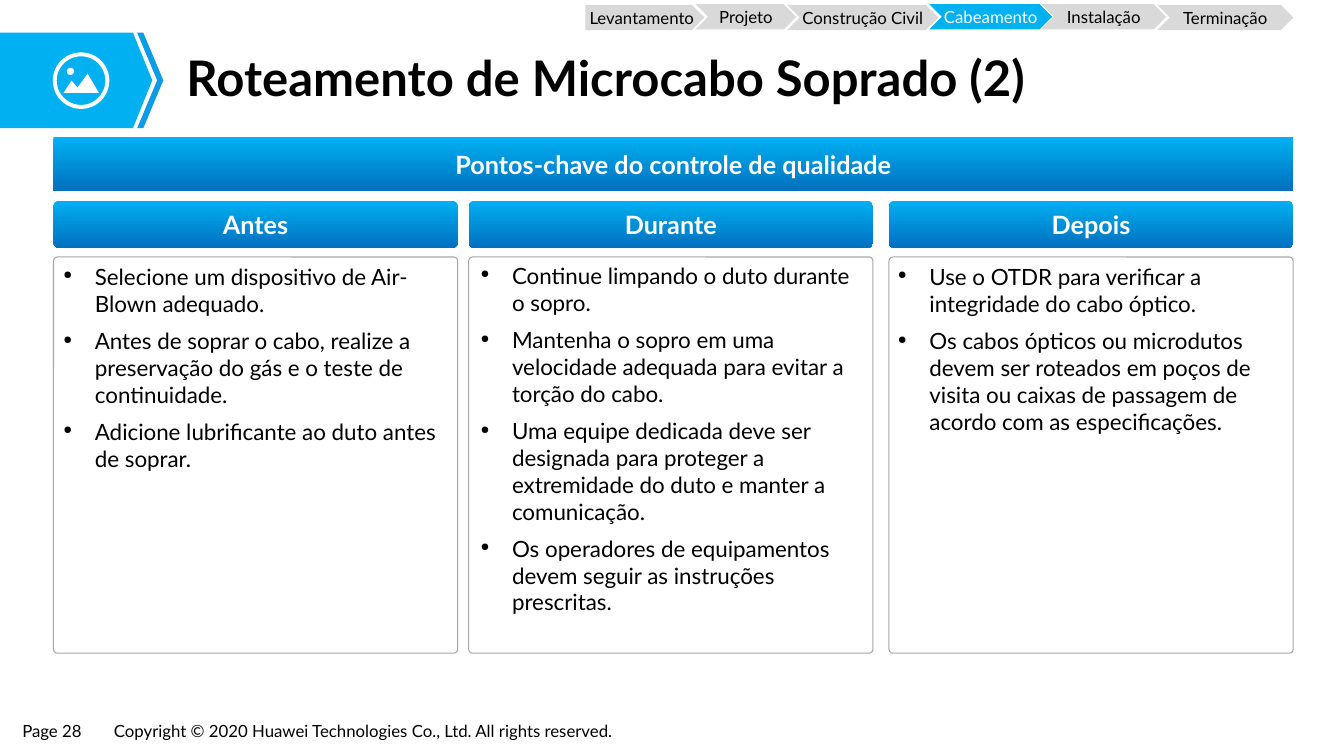
from dataclasses import dataclass

import pptx
import pptx.dml.color
import pptx.enum.shapes
import pptx.enum.text
import pptx.oxml
import pptx.oxml.ns
import pptx.util

Pt = pptx.util.Pt
RGB = pptx.dml.color.RGBColor
Kind = pptx.enum.shapes.MSO_SHAPE
Align = pptx.enum.text.PP_ALIGN
Anchor = pptx.enum.text.MSO_ANCHOR
Fit = pptx.enum.text.MSO_AUTO_SIZE

BLACK = RGB(0x00, 0x00, 0x00)
WHITE = RGB(0xFF, 0xFF, 0xFF)
SKY = RGB(0x00, 0xB0, 0xF0)
BLUE = RGB(0x00, 0x70, 0xC0)
TRIM = RGB(0x0B, 0x9C, 0xE5)
GRAY = RGB(0xD9, 0xD9, 0xD9)
EDGE = RGB(0xA6, 0xA6, 0xA6)
FONT = "Lato"
INDENT = Pt(22.5)
LEFT = 38.2


@dataclass
class Step:
    name: str
    left: float
    top: float
    width: float
    kind: Kind = Kind.CHEVRON
    active: bool = False


@dataclass
class Column:
    head: str
    left: float
    text: tuple[float, float, float, float]
    points: list[str]


STEPS = [
    Step("Levantamento", 418.2, 3.5, 85, Kind.PENTAGON),
    Step("Projeto", 496.8, 3, 72),
    Step("Construção Civil", 562.3, 3.5, 108),
    Step("Cabeamento", 663.8, 3, 87.8, active=True),
    Step("Instalação", 743.8, 3, 89.3),
    Step("Terminação", 826.6, 3.5, 97.2),
]

COLUMNS = [
    Column("Antes", LEFT, (38.2, 184.3, 285.8, 211.7), [
        "Selecione um dispositivo de Air-Blown adequado.",
        "Antes de soprar o cabo, realize a preservação do gás e o teste de continuidade.",
        "Adicione lubrificante ao duto antes de soprar.",
    ]),
    Column("Durante", 334.8, (336.2, 183.6, 285.8, 246.2), [
        "Continue limpando o duto durante o sopro.",
        "Mantenha o sopro em uma velocidade adequada para evitar a torção do cabo.",
        "Uma equipe dedicada deve ser designada para proteger a extremidade do duto "
        "e manter a comunicação.",
        "Os operadores de equipamentos devem seguir as instruções prescritas.",
    ]),
    Column("Depois", 635, (634.3, 184.3, 289.4, 235.4), [
        "Use o OTDR para verificar a integridade do cabo óptico.",
        "Os cabos ópticos ou microdutos devem ser roteados em poços de visita ou "
        "caixas de passagem de acordo com as especificações.",
    ]),
]


def mark(para) -> None:
    """Give a paragraph a hanging half-size bullet."""
    props = para._p.get_or_add_pPr()
    props.set("marL", str(INDENT))
    props.set("indent", str(-INDENT))
    for tag, key, value in (("a:buSzPct", "val", "50000"), ("a:buChar", "char", "●")):
        item = pptx.oxml.parse_xml(f"<{tag} {pptx.oxml.ns.nsdecls('a')}/>")
        item.set(key, value)
        props.append(item)


def write(shape, *lines: str, size: float, color: RGB = BLACK, bold: bool = False,
          align: Align = Align.LEFT, anchor: Anchor = Anchor.MIDDLE,
          pad: tuple[float, float] = (7.2, 3.6), wrap: bool = True,
          fit: Fit = Fit.NONE, bullet: bool = False, gap: float = 0,
          pitch: float | None = None) -> None:
    frame = shape.text_frame
    frame.word_wrap = wrap
    frame.auto_size = fit
    frame.vertical_anchor = anchor
    frame.margin_left = frame.margin_right = Pt(pad[0])
    frame.margin_top = frame.margin_bottom = Pt(pad[1])
    for rank, line in enumerate(lines):
        para = frame.add_paragraph() if rank else frame.paragraphs[0]
        para.alignment = align
        if bullet:
            mark(para)
        if rank:
            para.space_before = Pt(gap)
        if pitch:
            para.line_spacing = pitch
        run = para.add_run()
        run.text = line
        run.font.name = FONT
        run.font.size = Pt(size)
        run.font.bold = bold
        run.font.color.rgb = color


def paint(shape, color: RGB | None) -> None:
    """Set a plain fill, or none, and drop line and shadow."""
    shape.shadow.inherit = False
    shape.line.fill.background()
    if color is None:
        shape.fill.background()
    else:
        shape.fill.solid()
        shape.fill.fore_color.rgb = color


def block(slide, kind: Kind, left: float, top: float, width: float, height: float,
          color: RGB | None, adjust: float | None = None):
    shape = slide.shapes.add_shape(kind, Pt(left), Pt(top), Pt(width), Pt(height))
    paint(shape, color)
    if adjust is not None:
        shape.adjustments[0] = adjust
    return shape


def outline(slide, color: RGB, *dots: tuple[float, float]) -> None:
    first, *rest = [(Pt(x), Pt(y)) for x, y in dots]
    path = slide.shapes.build_freeform(*first)
    path.add_line_segments(rest, close=True)
    paint(path.convert_to_shape(), color)


def banner(slide, kind: Kind, text: str, left: float, top: float, width: float,
           height: float, adjust: float | None = None) -> None:
    """Draw a heading bar with a top-down gradient."""
    shape = block(slide, kind, left, top, width, height, SKY, adjust)
    shape.fill.gradient()
    shape.fill.gradient_angle = 270
    for stop, color in zip(shape.fill.gradient_stops, (SKY, BLUE)):
        stop.color.rgb = color
    write(shape, text, size=18, color=WHITE, bold=True, align=Align.CENTER)


def label(slide, left: float, top: float, width: float, height: float,
          *lines: str, **form) -> None:
    box = slide.shapes.add_textbox(Pt(left), Pt(top), Pt(width), Pt(height))
    write(box, *lines, anchor=Anchor.TOP, **form)


def badge(slide) -> None:
    """Draw the arrow tag and its round landscape icon."""
    outline(slide, SKY, (95, 91.6), (0, 91.6), (0, 23.4), (95, 23.4), (108.8, 57.4))
    outline(slide, TRIM, (102.4, 23.4), (98, 23.4), (112.3, 57.4), (98, 91.6),
            (102.4, 91.6), (116.7, 57.4))
    block(slide, Kind.DONUT, 37.7, 37.4, 40.4, 40.4, WHITE, 0.07)
    outline(slide, WHITE, (45.4, 66.3), (51.1, 57.6), (55.4, 62.6), (62.6, 52.6),
            (70.6, 66.3))
    block(slide, Kind.OVAL, 47.7, 48.4, 5.2, 5.2, WHITE)


def main() -> None:
    deck = pptx.Presentation()
    deck.slide_width, deck.slide_height = Pt(960), Pt(540)
    slide = deck.slides.add_slide(deck.slide_layouts[5])

    foot = dict(size=12, pad=(6.5, 2.9), wrap=False, fit=Fit.SHAPE_TO_FIT_TEXT)
    label(slide, 9.4, 511.9, 58.3, 20.9, "Page 28", **foot)
    label(slide, 74.9, 511.9, 389.5, 20.9,
          "Copyright © 2020 Huawei Technologies Co., Ltd. All rights reserved.", **foot)
    badge(slide)

    title = slide.shapes.title
    title.left, title.top, title.width, title.height = map(Pt, (125.3, 32.4, 774, 50.4))
    write(title, "Roteamento de Microcabo Soprado (2)", size=35, bold=True,
          pad=(7.9, 4.3), pitch=0.9)

    banner(slide, Kind.RECTANGLE, "Pontos-chave do controle de qualidade",
           LEFT, 98.2, 885.6, 38.2)
    for col in COLUMNS:
        banner(slide, Kind.ROUNDED_RECTANGLE, col.head, col.left, 143.5, 288.7, 33.5, 0.11)
        panel = block(slide, Kind.ROUNDED_RECTANGLE, col.left, 183.6, 288.7, 283, None, 0.01)
        panel.line.color.rgb = EDGE
        panel.line.width = Pt(0.75)
        label(slide, *col.text, *col.points, size=16, bullet=True, gap=7.4)

    for step in STEPS:
        shape = block(slide, step.kind, step.left, step.top, step.width, 18,
                      SKY if step.active else GRAY)
        write(shape, step.name, size=12, color=WHITE if step.active else BLACK,
              align=Align.CENTER, pad=(0, 0))

    deck.save("out.pptx")


if __name__ == "__main__":
    main()
